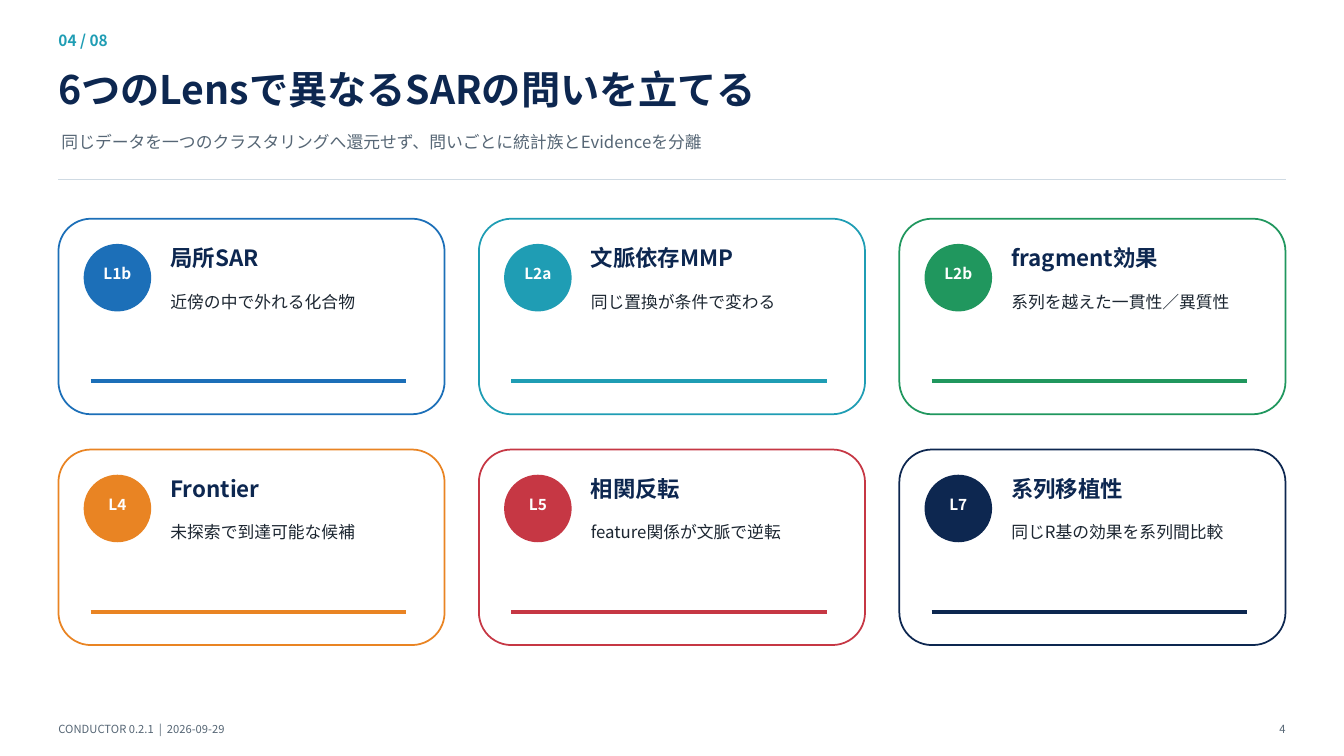
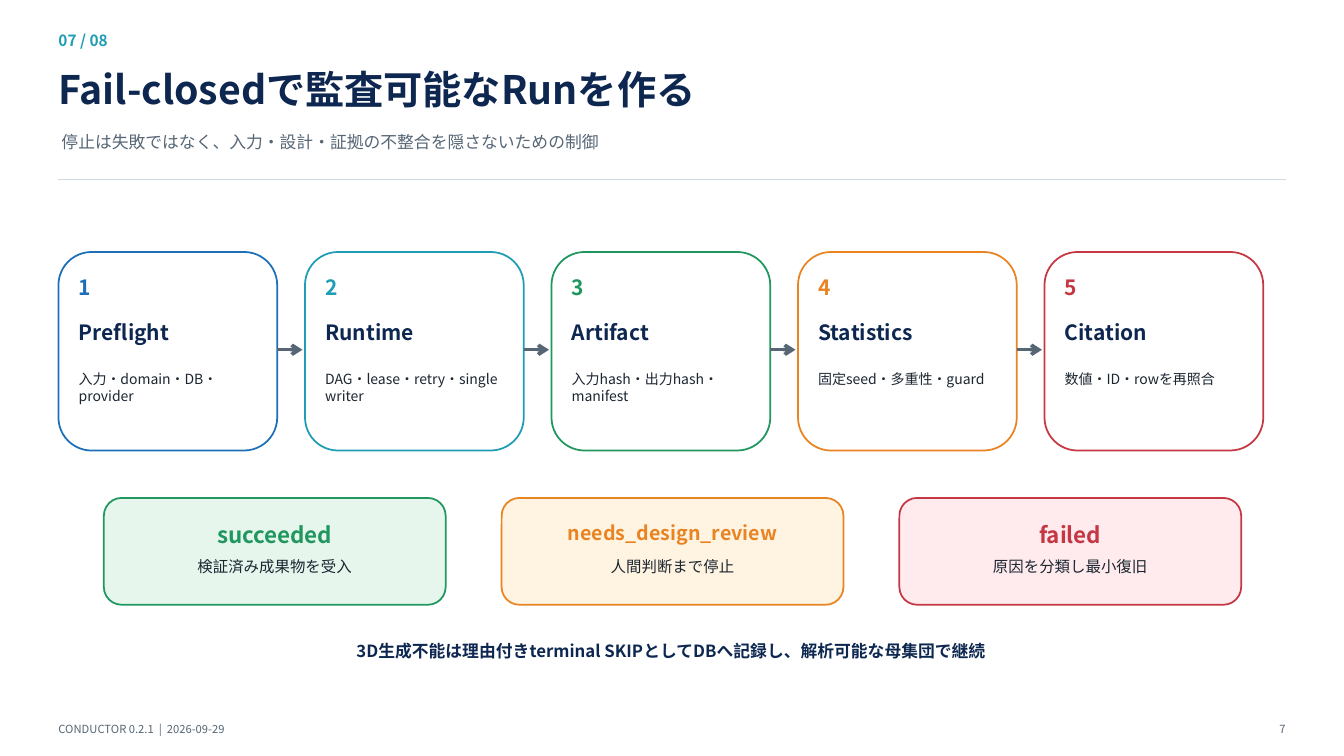
"""Build two slides: six analysis lenses and a fail-closed run flow."""
from lxml import etree
from pptx import Presentation
from pptx.dml.color import RGBColor
from pptx.enum.shapes import MSO_CONNECTOR, MSO_SHAPE
from pptx.enum.text import MSO_ANCHOR, MSO_AUTO_SIZE, PP_ALIGN
from pptx.oxml.ns import qn
from pptx.util import Inches, Pt

FONT = "Noto Sans CJK JP"
COLORS = {
    "navy": "0D2750", "blue": "1C6FB8", "teal": "1F9DB4", "green": "20975E",
    "orange": "E98423", "red": "C63744", "ink": "1C2631", "gray": "566675",
    "rule": "CFDAE3", "white": "FFFFFF", "mint": "E6F6ED", "cream": "FFF3E1",
    "rose": "FFEBED",
}
FOOTER = "CONDUCTOR 0.2.1  |  2026-09-29"
LEFT, RIGHT = 0.58, 12.75

LENS_HEADER = (4, "6つのLensで異なるSARの問いを立てる",
               "同じデータを一つのクラスタリングへ還元せず、問いごとに統計族とEvidenceを分離")
LENSES = [
    ("L1b", "局所SAR", "近傍の中で外れる化合物", "blue"),
    ("L2a", "文脈依存MMP", "同じ置換が条件で変わる", "teal"),
    ("L2b", "fragment効果", "系列を越えた一貫性／異質性", "green"),
    ("L4", "Frontier", "未探索で到達可能な候補", "orange"),
    ("L5", "相関反転", "feature関係が文脈で逆転", "red"),
    ("L7", "系列移植性", "同じR基の効果を系列間比較", "navy"),
]

RUN_HEADER = (7, "Fail-closedで監査可能なRunを作る",
              "停止は失敗ではなく、入力・設計・証拠の不整合を隠さないための制御")
STEPS = [
    ("Preflight", "入力・domain・DB・provider", "blue"),
    ("Runtime", "DAG・lease・retry・single writer", "teal"),
    ("Artifact", "入力hash・出力hash・manifest", "green"),
    ("Statistics", "固定seed・多重性・guard", "orange"),
    ("Citation", "数値・ID・rowを再照合", "red"),
]
OUTCOMES = [
    ("succeeded", 16, "検証済み成果物を受入", "green", "mint"),
    ("needs_design_review", 14, "人間判断まで停止", "orange", "cream"),
    ("failed", 16, "原因を分類し最小復旧", "red", "rose"),
]
RUN_NOTE = "3D生成不能は理由付きterminal SKIPとしてDBへ記録し、解析可能な母集団で継続"


def rgb(name):
    return RGBColor.from_string(COLORS[name])


def write(shape, text, size, color, bold=False, align=PP_ALIGN.LEFT):
    frame = shape.text_frame
    frame.margin_left = frame.margin_right = frame.margin_top = frame.margin_bottom = 0
    frame.word_wrap = True
    frame.auto_size = MSO_AUTO_SIZE.SHAPE_TO_FIT_TEXT
    frame.vertical_anchor = MSO_ANCHOR.TOP
    paragraph = frame.paragraphs[0]
    paragraph.alignment = align
    run = paragraph.add_run()
    run.text = text
    font = run.font
    font.name, font.size, font.bold = FONT, Pt(size), bold
    font.color.rgb = rgb(color)
    latin = run._r.rPr.find(qn("a:latin"))
    east_asian = etree.Element(qn("a:ea"), typeface=FONT)
    latin.addnext(east_asian)


def add_text(slide, x, y, width, text, size, color, bold=False, align=PP_ALIGN.LEFT, lines=1):
    height = size * 1.2 / 72 * lines
    box = slide.shapes.add_textbox(Inches(x), Inches(y), Inches(width), Inches(height))
    write(box, text, size, color, bold, align)


def add_box(slide, kind, x, y, width, height, fill, line=None):
    shape = slide.shapes.add_shape(kind, Inches(x), Inches(y), Inches(width), Inches(height))
    shape.shadow.inherit = False
    shape.fill.solid()
    shape.fill.fore_color.rgb = rgb(fill)
    if line:
        shape.line.color.rgb = rgb(line)
        shape.line.width = Pt(1.25)
    else:
        shape.line.fill.background()


def add_line(slide, x1, x2, y, color, width, arrow=False):
    line = slide.shapes.add_connector(
        MSO_CONNECTOR.STRAIGHT, Inches(x1), Inches(y), Inches(x2), Inches(y))
    line.line.color.rgb = rgb(color)
    line.line.width = Pt(width)
    if arrow:
        etree.SubElement(line.line._get_or_add_ln(), qn("a:tailEnd"), type="arrow")
    etree.SubElement(line._element.spPr, qn("a:effectLst"))


def add_slide(prs, number, title, subtitle):
    slide = prs.slides.add_slide(prs.slide_layouts[5])
    heading = slide.shapes.title
    heading.left, heading.top = Inches(LEFT), Inches(0.65)
    heading.width, heading.height = Inches(12.08), Inches(0.47)
    write(heading, title, 28, "navy", True)
    add_text(slide, LEFT, 0.31, 0.97, f"{number:02d} / 08", 11, "teal", True)
    add_text(slide, 0.61, 1.31, 11.81, subtitle, 12, "gray")
    add_line(slide, LEFT, RIGHT, 1.78, "rule", 1.25)
    add_text(slide, LEFT, 7.17, 6.94, FOOTER, 8, "gray")
    add_text(slide, 12.22, 7.17, 0.53, str(number), 8, "gray", align=PP_ALIGN.RIGHT)
    return slide


def build_lenses(prs):
    slide = add_slide(prs, *LENS_HEADER)
    for index, (code, name, question, color) in enumerate(LENSES):
        row, column = divmod(index, 3)
        x, y = LEFT + column * 4.17, 2.17 + row * 2.29
        add_box(slide, MSO_SHAPE.ROUNDED_RECTANGLE, x, y, 3.83, 1.94, "white", color)
        add_box(slide, MSO_SHAPE.OVAL, x + 0.25, y + 0.25, 0.67, 0.67, color)
        add_text(slide, x + 0.25, y + 0.45, 0.67, code, 11, "white", True, PP_ALIGN.CENTER)
        add_text(slide, x + 1.11, y + 0.25, 2.42, name, 16, "navy", True)
        add_text(slide, x + 1.11, y + 0.72, 2.42, question, 12, "ink")
        add_line(slide, x + 0.32, x + 3.45, y + 1.61, color, 3)


def build_run(prs):
    slide = add_slide(prs, *RUN_HEADER)
    step_width, step_pitch, step_top = 2.17, 2.445, 2.5
    for index, (name, checks, color) in enumerate(STEPS):
        x = LEFT + index * step_pitch
        add_box(slide, MSO_SHAPE.ROUNDED_RECTANGLE, x, step_top, step_width, 1.97, "white", color)
        add_text(slide, x + 0.2, step_top + 0.22, 0.42, str(index + 1), 15, color, True)
        add_text(slide, x + 0.2, step_top + 0.67, 1.78, name, 15, "navy", True)
        add_text(slide, x + 0.2, step_top + 1.18, 1.78, checks, 10, "ink",
                 lines=2 if index < 3 else 1)
        if index < len(STEPS) - 1:
            add_line(slide, x + step_width, x + step_width + 0.25, 3.47, "gray", 2.5, True)
    for index, (state, size, action, color, fill) in enumerate(OUTCOMES):
        x, y = 1.03 + index * 3.945, 4.94
        add_box(slide, MSO_SHAPE.ROUNDED_RECTANGLE, x, y, 3.39, 1.06, fill, color)
        add_text(slide, x + 0.25, y + 0.23, 2.89, state, size, color, True, PP_ALIGN.CENTER)
        add_text(slide, x + 0.25, y + 0.59, 2.89, action, 11, "ink", align=PP_ALIGN.CENTER)
    add_text(slide, 2.14, 6.36, 9.03, RUN_NOTE, 12, "navy", True, PP_ALIGN.CENTER)


def main():
    prs = Presentation()
    prs.slide_width, prs.slide_height = Inches(13.33), Inches(7.5)
    build_lenses(prs)
    build_run(prs)
    prs.save("out.pptx")


main()
